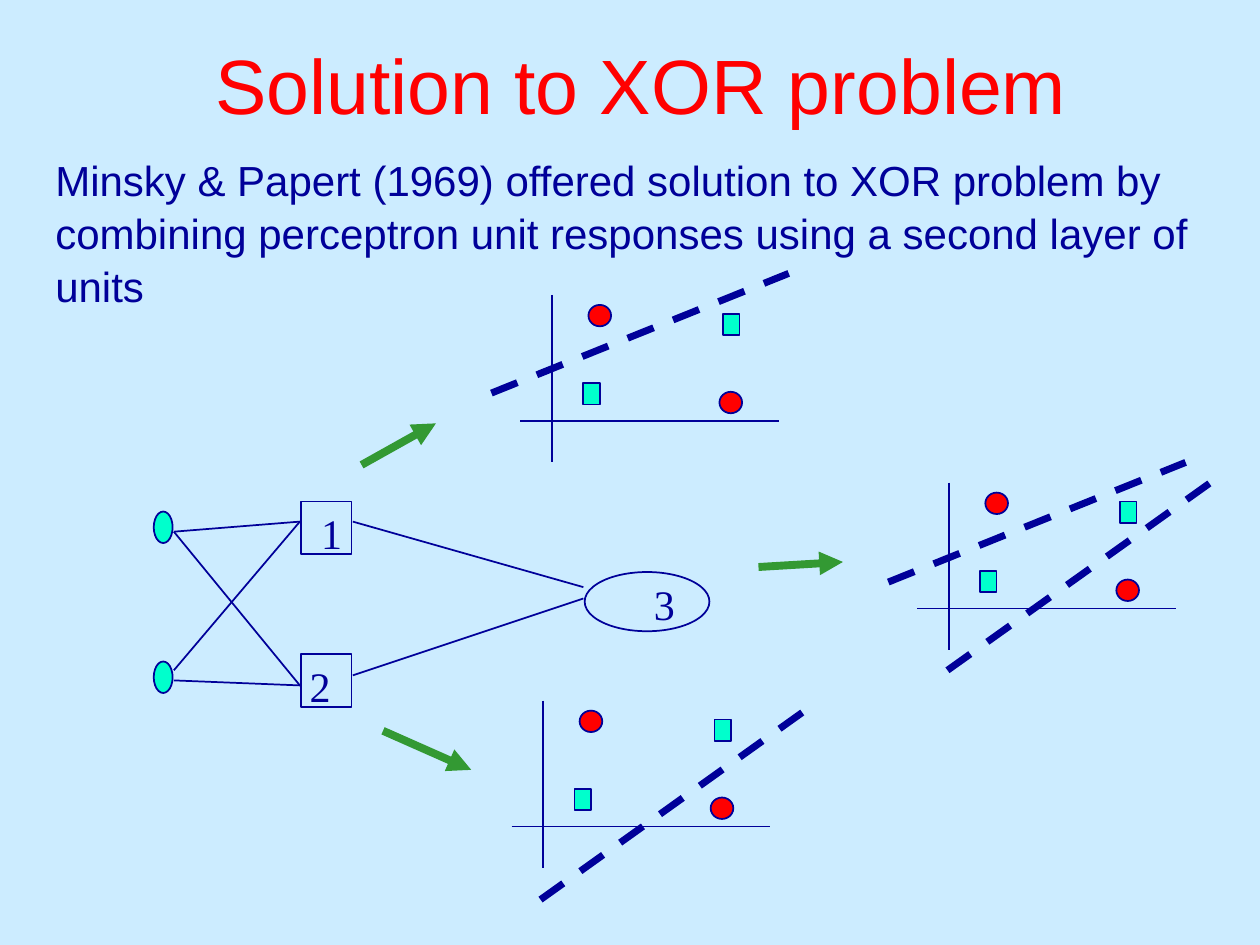
import dataclasses

import pptx
import pptx.dml.color
import pptx.enum.dml
import pptx.enum.shapes
import pptx.enum.text
import pptx.oxml.ns
import pptx.util
from lxml import etree

Inches = pptx.util.Inches
Pt = pptx.util.Pt
RGB = pptx.dml.color.RGBColor.from_string
SHAPE = pptx.enum.shapes.MSO_SHAPE
qn = pptx.oxml.ns.qn


@dataclasses.dataclass(frozen=True)
class Theme:
    background: RGB = RGB("CCECFF")
    ink: RGB = RGB("000099")
    title: RGB = RGB("FF0000")
    circle: RGB = RGB("FF0000")
    square: RGB = RGB("00FFCC")
    arrow: RGB = RGB("339933")
    sans: str = "Arial"
    serif: str = "Times New Roman"
    title_size: int = 44
    text_size: int = 24
    thin: float = 1
    boundary: float = 4
    thick: float = 4.5
    line_spacing: float = 1.05


THEME = Theme()


def format_text(text_frame, font_name, size, color, alignment):
    text_frame.auto_size = pptx.enum.text.MSO_AUTO_SIZE.NONE
    text_frame.word_wrap = True
    for paragraph in text_frame.paragraphs:
        paragraph.alignment = alignment
        paragraph.line_spacing = THEME.line_spacing
        for run in paragraph.runs:
            run.font.name = font_name
            run.font.size = Pt(size)
            run.font.color.rgb = color


def set_title(slide, text):
    title = slide.shapes.title
    title.left, title.top = Inches(0.59), Inches(0.02)
    title.width, title.height = Inches(9), Inches(1.25)
    title.text_frame.text = text
    title.text_frame.vertical_anchor = pptx.enum.text.MSO_ANCHOR.MIDDLE
    format_text(title.text_frame, THEME.sans, THEME.title_size, THEME.title,
                pptx.enum.text.PP_ALIGN.CENTER)


def add_text(shapes, text, left, top, width, height, font_name):
    box = shapes.add_textbox(Inches(left), Inches(top), Inches(width), Inches(height))
    box.text_frame.text = text
    format_text(box.text_frame, font_name, THEME.text_size, THEME.ink,
                pptx.enum.text.PP_ALIGN.LEFT)


def add_outlined(shapes, kind, left, top, width, height, fill=None):
    shape = shapes.add_shape(kind, Inches(left), Inches(top), Inches(width), Inches(height))
    shape.shadow.inherit = False
    if fill is None:
        shape.fill.background()
    else:
        shape.fill.solid()
        shape.fill.fore_color.rgb = fill
    shape.line.color.rgb = THEME.ink
    shape.line.width = Pt(THEME.thin)


def add_line(shapes, start, end, color=THEME.ink, width=THEME.thin):
    line = shapes.add_connector(pptx.enum.shapes.MSO_CONNECTOR.STRAIGHT,
                                *(Inches(value) for value in start + end))
    line.line.color.rgb = color
    line.line.width = Pt(width)
    etree.SubElement(line._element.spPr, qn("a:effectLst"))
    return line


def add_arrow(shapes, start, end):
    arrow = add_line(shapes, start, end, THEME.arrow, THEME.thick)
    etree.SubElement(arrow.line._get_or_add_ln(), qn("a:tailEnd"), type="triangle")


def add_boundary(shapes, start, end):
    boundary = add_line(shapes, start, end, width=THEME.boundary)
    boundary.line.dash_style = pptx.enum.dml.MSO_LINE.DASH


def add_network(slide):
    shapes = slide.shapes.add_group_shape().shapes
    for top in (4.06, 5.25):
        add_outlined(shapes, SHAPE.OVAL, 1.22, top, 0.15, 0.25, THEME.square)
    for label, top, label_left in (("1", 3.98, 2.45), ("2", 5.19, 2.36)):
        add_outlined(shapes, SHAPE.RECTANGLE, 2.39, top, 0.4, 0.42)
        add_text(shapes, label, label_left, top - 0.02, 0.36, 0.5, THEME.serif)
    add_outlined(shapes, SHAPE.OVAL, 4.64, 4.54, 0.99, 0.47)
    add_text(shapes, "3", 5.09, 4.52, 0.51, 0.5, THEME.serif)
    for start_y, end_y in ((4.22, 4.14), (5.32, 4.14), (4.22, 5.44), (5.4, 5.44)):
        add_line(shapes, (1.38, start_y), (2.38, end_y))
    for start_y, end_y in ((4.14, 4.66), (5.36, 4.75)):
        add_line(shapes, (2.8, start_y), (4.63, end_y))


def add_plot(slide, origin_x, origin_y, boundaries):
    shapes = slide.shapes.add_group_shape().shapes
    add_line(shapes, (origin_x, origin_y - 1), (origin_x, origin_y + 0.33))
    add_line(shapes, (origin_x - 0.25, origin_y), (origin_x + 1.8, origin_y))
    for x, y in ((0.25, -0.3), (1.36, -0.85)):
        add_outlined(shapes, SHAPE.RECTANGLE, origin_x + x, origin_y + y,
                     0.13, 0.17, THEME.square)
    for x, y in ((0.29, -0.92), (1.33, -0.23)):
        add_outlined(shapes, SHAPE.OVAL, origin_x + x, origin_y + y,
                     0.18, 0.17, THEME.circle)
    for start, end in boundaries:
        add_boundary(shapes, start, end)


def main():
    presentation = pptx.Presentation()
    presentation.slide_width = Inches(10)
    presentation.slide_height = Inches(7.5)
    slide = presentation.slides.add_slide(presentation.slide_layouts[5])
    slide.background.fill.solid()
    slide.background.fill.fore_color.rgb = THEME.background

    set_title(slide, "Solution to XOR problem")
    statement = "\n".join((
        "Minsky & Papert (1969) offered solution to XOR problem by",
        "combining perceptron unit responses using a second layer of",
        "units",
    ))
    add_text(slide.shapes, statement, 0.34, 1.16, 9.28, 1.3, THEME.sans)

    for start, end in (((2.87, 3.69), (3.46, 3.36)),
                       ((3.04, 5.8), (3.74, 6.11)),
                       ((6.02, 4.5), (6.69, 4.46))):
        add_arrow(slide.shapes, start, end)

    add_network(slide)
    add_plot(slide, 4.38, 3.34, [((3.9, 3.12), (6.26, 2.17))])
    add_plot(slide, 4.31, 6.56, [((4.29, 7.14), (6.5, 5.56))])
    add_plot(slide, 7.53, 4.83, [((7.52, 5.32), (9.72, 3.75)),
                                 ((7.05, 4.62), (9.41, 3.67))])
    presentation.save("out.pptx")


if __name__ == "__main__":
    main()
